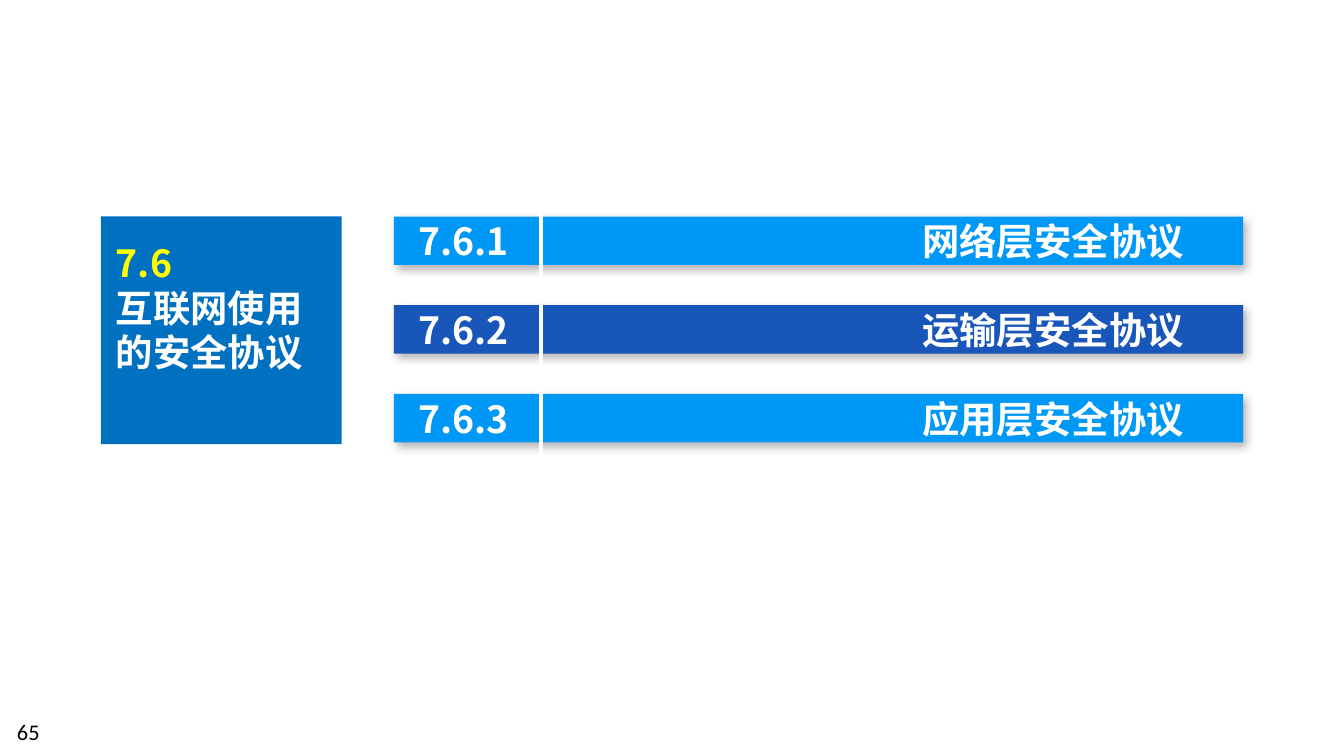
from lxml import etree
from pptx import Presentation
from pptx import util as u
from pptx.dml.color import RGBColor
from pptx.enum import shapes, text
from pptx.oxml import ns

COLORS = {
    "white": "FFFFFF",
    "black": "000000",
    "yellow": "FFFF00",
    "panel": "0070C0",
    "light": "0098F6",
    "dark": "1956B9",
}
HEADING_FONT = "Noto Sans CJK SC"
TOPICS = [
    ("7.6.1", "网络层安全协议", "light"),
    ("7.6.2", "运输层安全协议", "dark"),
    ("7.6.3", "应用层安全协议", "light"),
]
BAR_LEFT, BAR_TOP, BAR_WIDTH, BAR_HEIGHT, BAR_PITCH = 211, 116, 455, 26, 47.5
TITLE_TAB = 270


def color(name):
    return RGBColor.from_string(COLORS[name])


def add_child(parent, tag, **attributes):
    child = etree.SubElement(parent, ns.qn(tag))
    for key, value in attributes.items():
        child.set(key, str(value))
    return child


def add_run(paragraph, words, fill, size=20, font=HEADING_FONT, bold=True):
    run = paragraph.add_run()
    run.text = words
    run.font.size = u.Pt(size)
    run.font.bold = bold
    run.font.name = font
    run.font.color.rgb = color(fill)
    add_child(run.font._element, "a:ea", typeface=font)


def add_block(slide, left, top, width, height, fill):
    block = slide.shapes.add_shape(
        shapes.MSO_SHAPE.RECTANGLE,
        u.Pt(left), u.Pt(top), u.Pt(width), u.Pt(height))
    block.fill.solid()
    block.fill.fore_color.rgb = color(fill)
    block.line.fill.background()
    block.shadow.inherit = False
    return block


def add_drop_shadow(block):
    effects = block._element.spPr.find(ns.qn("a:effectLst"))
    shadow = add_child(effects, "a:outerShdw", blurRad=u.Pt(4.5),
                       dist=u.Pt(2.6), dir=53 * 60000, algn="tl",
                       rotWithShape=0)
    tint = add_child(shadow, "a:srgbClr", val=COLORS["black"])
    add_child(tint, "a:alpha", val=30000)


def add_topic_bar(slide, top, number, title, fill):
    bar = add_block(slide, BAR_LEFT, top, BAR_WIDTH, BAR_HEIGHT, fill)
    add_drop_shadow(bar)
    frame = bar.text_frame
    frame.margin_left = u.Pt(13)
    frame.margin_right = frame.margin_top = frame.margin_bottom = 0
    frame.vertical_anchor = text.MSO_ANCHOR.MIDDLE
    topic = frame.paragraphs[0]
    topic.alignment = text.PP_ALIGN.LEFT
    tabs = add_child(topic._p.get_or_add_pPr(), "a:tabLst")
    add_child(tabs, "a:tab", pos=u.Pt(TITLE_TAB), algn="l")
    add_run(topic, number + "\t", "white")
    add_run(topic, title, "white")


def add_text_frame(slide, left, top, width, height):
    box = slide.shapes.add_textbox(
        u.Pt(left), u.Pt(top), u.Pt(width), u.Pt(height))
    box.text_frame.word_wrap = True
    return box.text_frame


def add_section_panel(slide):
    add_block(slide, 54, BAR_TOP, 129, 122, "panel")
    section = add_text_frame(slide, 55, 125, 128, 80)
    number, title = section.paragraphs[0], section.add_paragraph()
    for paragraph in (number, title):
        paragraph.line_spacing = u.Pt(24)
    add_run(number, "7.6", "yellow")
    add_run(title, "互联网使用的安全协议", "white")


def add_divider(slide, x, top, bottom):
    divider = slide.shapes.add_connector(
        shapes.MSO_CONNECTOR.STRAIGHT,
        u.Pt(x), u.Pt(top), u.Pt(x), u.Pt(bottom))
    divider.line.color.rgb = color("white")
    divider.line.width = u.Pt(2.25)
    add_child(divider._element.spPr, "a:effectLst")


def main():
    deck = Presentation()
    deck.slide_width, deck.slide_height = u.Pt(720), u.Pt(405)
    slide = deck.slides.add_slide(deck.slide_layouts[6])

    add_section_panel(slide)
    for row, (number, title, fill) in enumerate(TOPICS):
        add_topic_bar(slide, BAR_TOP + row * BAR_PITCH, number, title, fill)
    add_divider(slide, 290, 106, 250)

    page_number = add_text_frame(slide, 2, 381, 168, 22)
    page_number.vertical_anchor = text.MSO_ANCHOR.MIDDLE
    add_run(page_number.paragraphs[0], "65", "black", 12, "Calibri", False)

    deck.save("out.pptx")


if __name__ == "__main__":
    main()
